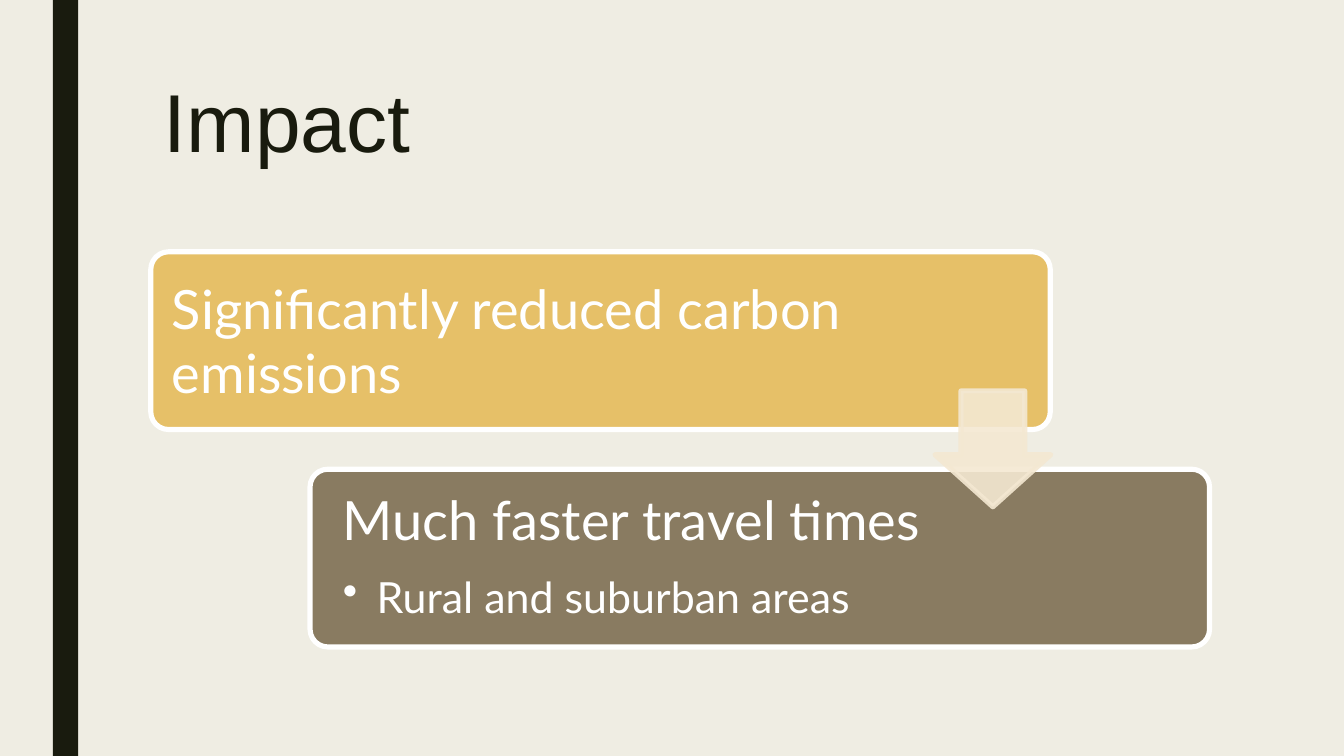
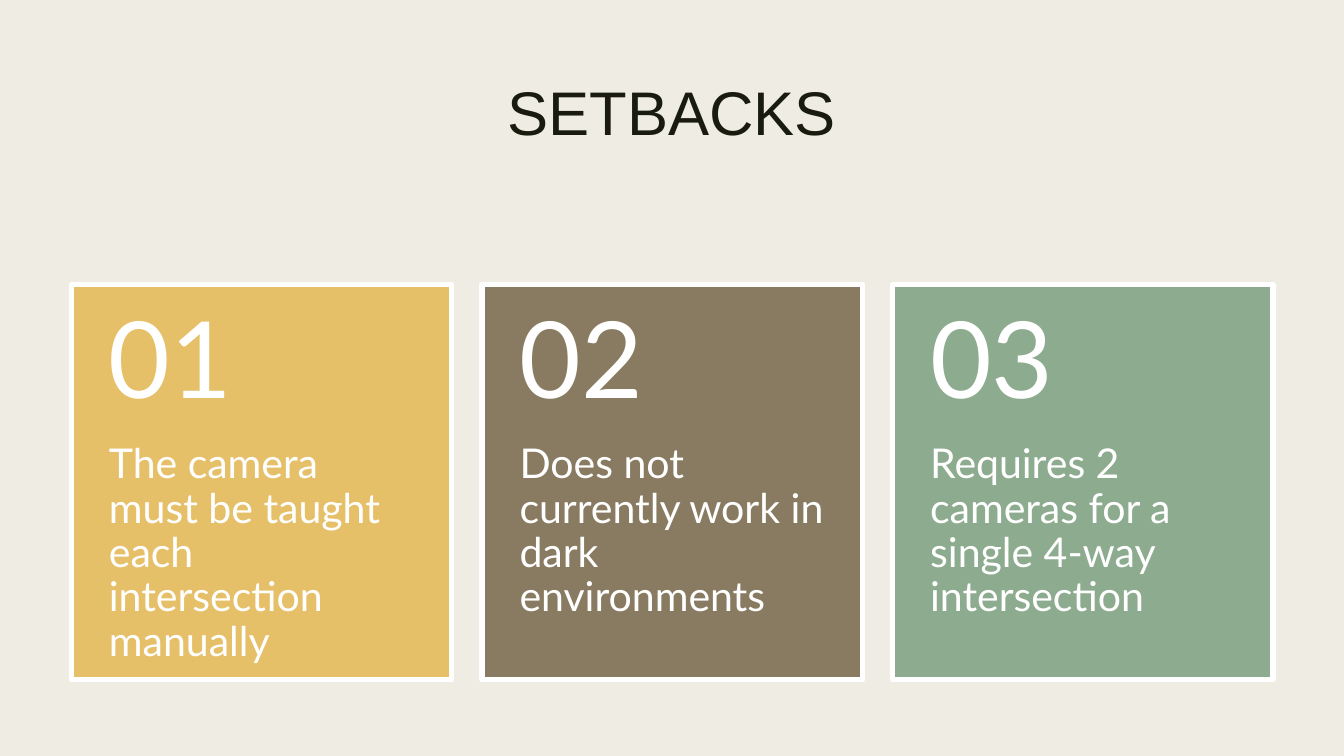
from dataclasses import dataclass

from lxml import etree
from pptx import Presentation
from pptx.dml.color import RGBColor
from pptx.enum.shapes import MSO_SHAPE as Preset
from pptx.enum.text import MSO_ANCHOR as Anchor, PP_ALIGN as Align
from pptx.oxml.ns import qn
from pptx.util import Cm, Pt


@dataclass(frozen=True)
class Theme:
    paper: str = "EFEDE3"
    ink: str = "191B0E"
    white: str = "FFFFFF"
    gold: str = "E6C068"
    brown: str = "897B61"
    green: str = "8DAB8E"
    cream: str = "F4E8D2"
    title_font: str = "Arial"
    body_font: str = "Lato"
    impact_title: int = 44
    setbacks_title: int = 33
    step: int = 29
    detail: int = 23
    card: int = 22
    number: int = 57
    border: float = 2.75


THEME = Theme()
PAGE_WIDTH, PAGE_HEIGHT = 25.4, 14.29


# Page and shapes
def add_page(deck):
    page = deck.slides.add_slide(deck.slide_layouts[6])
    page.background.fill.solid()
    page.background.fill.fore_color.rgb = RGBColor.from_string(THEME.paper)
    return page


def add_block(page, preset, left, top, width, height, color, border=None, adjust=()):
    box = page.shapes.add_shape(preset, Cm(left), Cm(top), Cm(width), Cm(height))
    box.shadow.inherit = False
    box.fill.solid()
    box.fill.fore_color.rgb = RGBColor.from_string(color)
    if border:
        box.line.color.rgb = RGBColor.from_string(border)
        box.line.width = Pt(THEME.border)
    else:
        box.line.fill.background()
    for index, value in enumerate(adjust):
        box.adjustments[index] = value
    return box


def set_opacity(box, percent):
    for color in box._element.spPr.iter(qn("a:srgbClr")):
        etree.SubElement(color, qn("a:alpha"), val=str(percent * 1000))


# Text
def add_text(page, left, top, width, height, insets, anchor=Anchor.TOP):
    """Insets run left, top, right, bottom, in centimetres."""
    box = page.shapes.add_textbox(Cm(left), Cm(top), Cm(width), Cm(height))
    frame = box.text_frame
    frame.word_wrap = True
    frame.vertical_anchor = anchor
    (frame.margin_left, frame.margin_top,
     frame.margin_right, frame.margin_bottom) = map(Cm, insets)
    return frame


def write(para, text, size, font=THEME.body_font, color=THEME.white, spacing=None):
    para.text = text
    para.font.name = font
    para.font.size = Pt(size)
    para.font.color.rgb = RGBColor.from_string(color)
    if spacing:
        para.line_spacing = spacing


def add_title(page, text, left, size, align=Align.LEFT):
    frame = add_text(page, left, 1.43, 20, 3.1, (0.25, 0.13, 0.25, 0.13))
    para = frame.paragraphs[0]
    write(para, text, size, THEME.title_font, THEME.ink, 0.89)
    para.alignment = align


def add_bullet(frame, text, size):
    para = frame.add_paragraph()
    write(para, text, size)
    para.level = 1
    para.space_before = Pt(10.2)
    props = para._p.get_or_add_pPr()
    indent = Cm(0.64)
    props.set("marL", str(indent))
    props.set("indent", str(-indent))
    bullet = etree.Element(qn("a:buChar"), char="•")
    props.find(qn("a:spcBef")).addnext(bullet)


# Content elements
def add_step(page, left, top, color, text, text_area, detail=None):
    add_block(page, Preset.ROUNDED_RECTANGLE, left, top, 17, 3.36,
              color, THEME.white, (0.1,))
    frame = add_text(page, *text_area, (0.3,) * 4, Anchor.MIDDLE)
    write(frame.paragraphs[0], text, THEME.step)
    if detail:
        add_bullet(frame, detail, THEME.detail)


def add_card(page, left, number, color, text):
    top, width, height, number_height = 5.38, 7.19, 7.47, 3
    add_block(page, Preset.RECTANGLE, left, top, width, height, color, THEME.white)
    body = add_text(page, left, top + number_height, width, height - number_height,
                    (0.71, 0, 0.71, 0.91))
    write(body.paragraphs[0], text, THEME.card, spacing=0.9)
    heading = add_text(page, left, top, width, number_height,
                       (0.71, 0.46, 0.71, 0.46), Anchor.MIDDLE)
    write(heading.paragraphs[0], f"{number:02}", THEME.number, spacing=0.9)


# Slides
def build_impact(deck):
    page = add_page(deck)
    add_block(page, Preset.RECTANGLE, 1, 0, 0.48, PAGE_HEIGHT, THEME.ink)
    add_title(page, "Impact", 2.85, THEME.impact_title)
    add_step(page, 2.85, 4.76, THEME.gold, "Significantly reduced carbon emissions",
             (2.95, 4.85, 13.54, 3.15))
    add_step(page, 5.86, 8.87, THEME.brown, "Much faster travel times",
             (6.18, 9.14, 13.92, 2.67), "Rural and suburban areas")
    arrow = add_block(page, Preset.DOWN_ARROW, 17.67, 7.39, 2.19, 2.19,
                      THEME.cream, THEME.cream, (0.55, 0.45))
    set_opacity(arrow, 90)


def build_setbacks(deck):
    page = add_page(deck)
    setbacks = [
        (THEME.gold, "The camera must be taught each intersection manually"),
        (THEME.brown, "Does not currently work in dark environments"),
        (THEME.green, "Requires 2 cameras for a single 4-way intersection"),
    ]
    for index, (color, text) in enumerate(setbacks):
        add_card(page, 1.35 + index * 7.76, index + 1, color, text)
    add_title(page, "SETBACKS", 2.7, THEME.setbacks_title, Align.CENTER)


def main():
    deck = Presentation()
    deck.slide_width, deck.slide_height = Cm(PAGE_WIDTH), Cm(PAGE_HEIGHT)
    build_impact(deck)
    build_setbacks(deck)
    deck.save("out.pptx")


if __name__ == "__main__":
    main()
